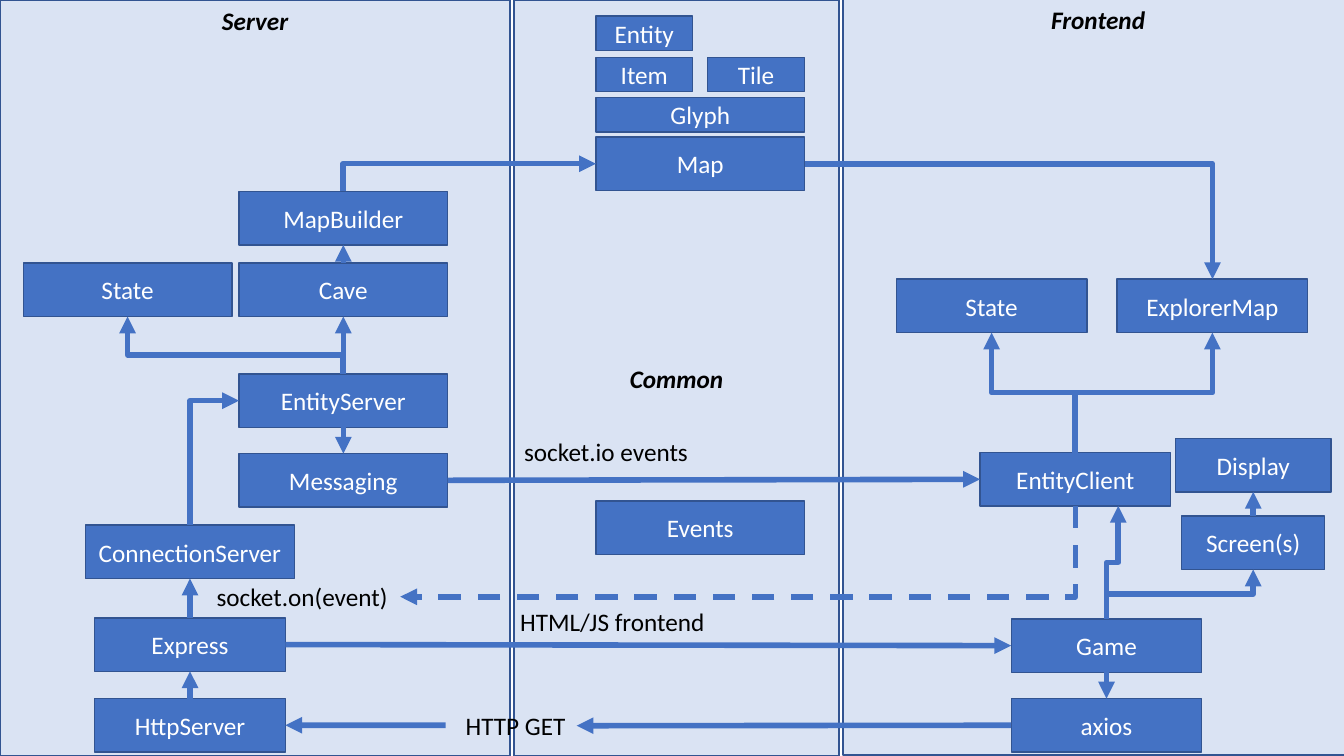
from lxml import etree
from pptx import Presentation
from pptx import util as u
from pptx.dml.color import RGBColor
from pptx.enum import dml, shapes, text
from pptx.oxml.ns import qn

deck = Presentation()
deck.slide_width, deck.slide_height = u.Inches(13.33), u.Inches(7.5)
page = deck.slides.add_slide(deck.slide_layouts[6])

BLUE, EDGE, PALE = "4472C4", "325491", "DAE3F3"
WHITE, BLACK = "FFFFFF", "000000"
WIDE, MID, SMALL = 15.53, 14.18, 7.2  # box widths, % of slide width
TALL, LOW = 7.07, 4.53  # box heights, % of slide height


def color(value):
    return RGBColor.from_string(value)


def spot(across, down):
    """Turn percentages of the slide's width and height into lengths."""
    return (u.Emu(round(deck.slide_width * across / 100)),
            u.Emu(round(deck.slide_height * down / 100)))


# name, left, top, width, height, anchor; what follows "@" only tells twins apart
TOP, MIDDLE = text.MSO_ANCHOR.TOP, text.MSO_ANCHOR.MIDDLE
panels = [
    ("Frontend", 62.72, -0.13, 37.96, 100, TOP),
    ("Common", 38.26, 0, 24.16, 100, MIDDLE),
    ("Server", 0, 0, 37.96, 100, TOP),
]
nodes = [
    ("HttpServer", 7.05, 92.4, MID, TALL),
    ("Express", 7.05, 81.73, MID, TALL),
    ("ConnectionServer", 6.37, 69.47, WIDE, TALL),
    ("Messaging", 17.78, 60, WIDE, TALL),
    ("EntityServer", 17.78, 49.47, WIDE, TALL),
    ("Cave", 17.78, 34.8, WIDE, TALL),
    ("MapBuilder", 17.78, 25.33, WIDE, TALL),
    ("State@Server", 1.73, 34.8, WIDE, TALL),
    ("Entity", 44.34, 2.13, SMALL, LOW),
    ("Item", 44.34, 7.6, SMALL, LOW),
    ("Tile", 52.66, 7.6, SMALL, LOW),
    ("Glyph", 44.34, 12.93, WIDE, LOW),
    ("Map", 44.34, 18.13, WIDE, TALL),
    ("Events", 44.34, 66.27, WIDE, TALL),
    ("State@Frontend", 66.69, 36.93, MID, TALL),
    ("ExplorerMap", 83.12, 36.93, MID, TALL),
    ("EntityClient", 72.92, 59.87, MID, TALL),
    ("Display", 87.47, 58, 11.55, TALL),
    ("Screen(s)", 87.92, 68.27, 10.65, TALL),
    ("Game", 75.24, 81.87, MID, TALL),
    ("axios", 75.24, 92.4, MID, TALL),
]
labels = [
    ("socket.on(event)", 15.38, 76.27, 14.4),
    ("socket.io events", 38.26, 57.07, 13.8),
    ("HTTP GET", 33.91, 93.33, 9),
    ("HTML/JS frontend", 37.96, 79.6, 15.38),
]

boxes = {}
for name, left, top, width, height, anchor in panels + [n + (MIDDLE,) for n in nodes]:
    is_panel = height == 100
    box = page.shapes.add_shape(shapes.MSO_SHAPE.RECTANGLE,
                                *spot(left, top), *spot(width, height))
    box.shadow.inherit = False
    box.fill.solid()
    box.fill.fore_color.rgb = color(PALE if is_panel else BLUE)
    box.line.color.rgb = color(EDGE)
    box.line.width = u.Pt(1)
    box.text_frame.vertical_anchor = anchor
    box.text_frame.word_wrap = True
    para = box.text_frame.paragraphs[0]
    para.alignment = text.PP_ALIGN.CENTER
    span = para.add_run()
    span.text = name.split("@")[0]
    span.font.name, span.font.size = "Calibri", u.Pt(18)
    span.font.bold = span.font.italic = is_panel
    span.font.color.rgb = color(BLACK if is_panel else WHITE)
    boxes[name] = box

for name, left, top, width in labels:
    box = page.shapes.add_textbox(*spot(left, top), *spot(width, 5.33))
    box.text_frame.word_wrap = False
    box.text_frame.auto_size = text.MSO_AUTO_SIZE.SHAPE_TO_FIT_TEXT
    span = box.text_frame.paragraphs[0].add_run()
    span.text = name
    span.font.name, span.font.size = "Calibri", u.Pt(18)
    span.font.color.rgb = color(BLACK)
    boxes[name] = box

# Each end is a box name with a side, or a free point in % of the slide
UP, LEFT, DOWN, RIGHT = range(4)
STRAIGHT, CORNER, STEP = "line", "bentConnector2", "bentConnector3"
links = [
    ((33.16, 95.93), ("HttpServer", RIGHT), STRAIGHT),
    (("HttpServer", UP), ("Express", DOWN), STRAIGHT),
    (("Express", UP), ("ConnectionServer", DOWN), STRAIGHT),
    (("Express", RIGHT), ("Game", LEFT), STRAIGHT),
    (("ConnectionServer", UP), ("EntityServer", LEFT), CORNER),
    (("Messaging", RIGHT), ("EntityClient", LEFT), STRAIGHT),
    (("EntityServer", DOWN), ("Messaging", UP), STRAIGHT),
    (("EntityServer", UP), ("Cave", DOWN), STRAIGHT),
    (("EntityServer", UP), ("State@Server", DOWN), STEP),
    (("Cave", UP), ("MapBuilder", DOWN), STRAIGHT),
    (("MapBuilder", UP), ("Map", LEFT), CORNER),
    (("axios", LEFT), ("HTTP GET", RIGHT), STRAIGHT),
    (("Game", DOWN), ("axios", UP), STRAIGHT),
    (("Map", RIGHT), ("ExplorerMap", UP), CORNER),
    (("Game", UP), ("Screen(s)", DOWN), STEP),
    (("Game", UP), (83.2, 66.93), STEP),
    (("Screen(s)", UP), ("Display", DOWN), STRAIGHT),
    (("EntityClient", UP), ("State@Frontend", DOWN), STEP),
    (("EntityClient", UP), ("ExplorerMap", DOWN), STEP),
    (("EntityClient", DOWN), ("socket.on(event)", RIGHT), CORNER),
]
for start, end, route in links:
    kind = shapes.MSO_CONNECTOR.STRAIGHT if route == STRAIGHT else shapes.MSO_CONNECTOR.ELBOW
    points = [spot(0, 0) if isinstance(tip[0], str) else spot(*tip) for tip in (start, end)]
    link = page.shapes.add_connector(kind, *points[0], *points[1])
    for tip, join in ((start, link.begin_connect), (end, link.end_connect)):
        if isinstance(tip[0], str):
            join(boxes[tip[0]], tip[1])
    link.line.color.rgb = color(BLUE)
    link.line.width = u.Pt(4)
    if end[0] == "socket.on(event)":
        link.line.dash_style = dml.MSO_LINE.DASH
    frame = link.element.spPr
    etree.SubElement(frame.find(qn("a:ln")), qn("a:tailEnd"), type="triangle")
    etree.SubElement(frame, qn("a:effectLst"))
    if route == STRAIGHT:
        continue

    shape = frame.find(qn("a:prstGeom"))
    shape.set("prst", route)
    if end[0] == "State@Server":
        etree.SubElement(shape.find(qn("a:avLst")), qn("a:gd"), name="adj1", fmla="val 33300")
    if start[1] in (UP, DOWN):  # leaves vertically: turn the connector a quarter
        run, rise = link.end_x - link.begin_x, link.end_y - link.begin_y
        middle_x, middle_y = link.begin_x + run // 2, link.begin_y + rise // 2
        link.width, link.height = abs(rise), abs(run)
        link.left, link.top = middle_x - abs(rise) // 2, middle_y - abs(run) // 2
        turn = frame.find(qn("a:xfrm"))
        turn.set("rot", "5400000")
        turn.set("flipH", str(int(rise < 0)))
        turn.set("flipV", str(int(run > 0)))

deck.save("out.pptx")
